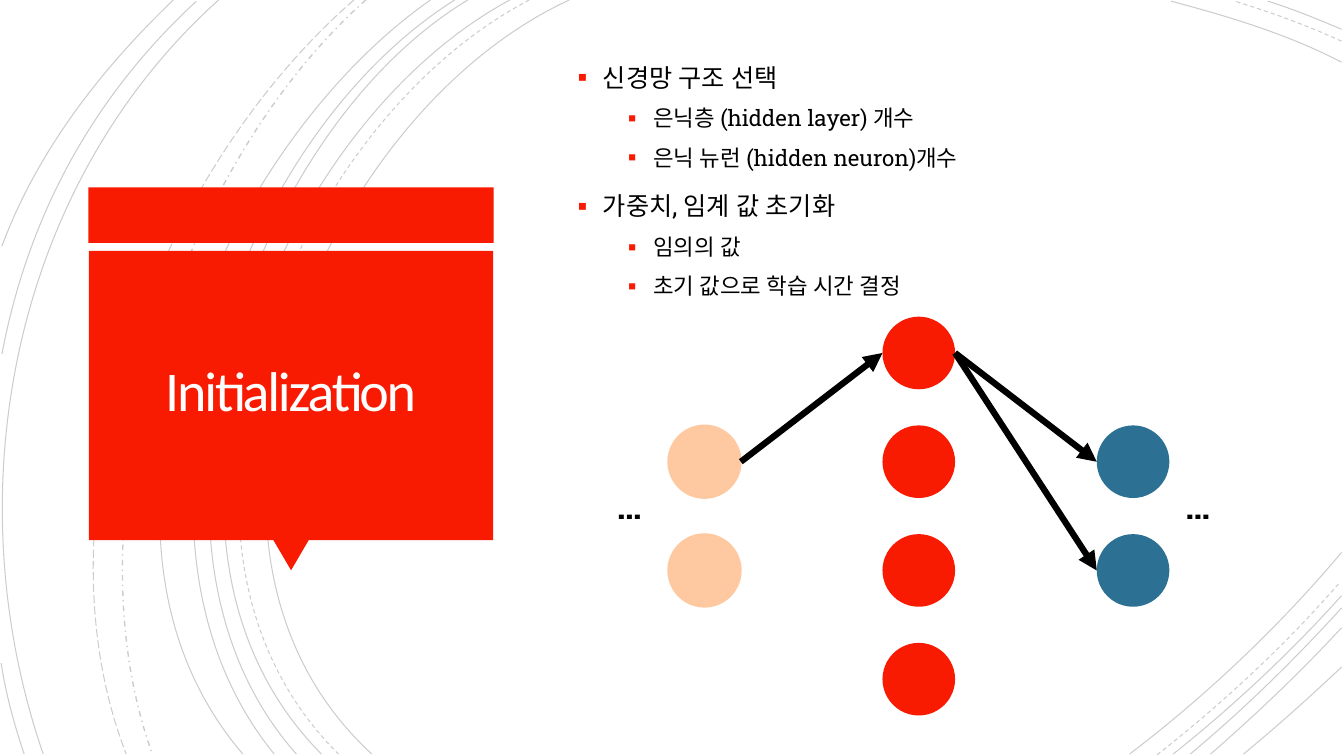
import pptx
import pptx.util
import pptx.dml.color
import pptx.enum.dml
import pptx.enum.shapes
import pptx.enum.text
import pptx.oxml
import pptx.oxml.ns
from lxml import etree

Cm = pptx.util.Cm
Pt = pptx.util.Pt
SHAPE = pptx.enum.shapes.MSO_SHAPE
DASH = pptx.enum.dml.MSO_LINE
ANCHOR = pptx.enum.text.MSO_ANCHOR
AUTO = pptx.enum.text.MSO_AUTO_SIZE
qn = pptx.oxml.ns.qn

COLORS = {"red": "F81B02", "blue": "2C7093", "peach": "FEC9A1",
          "black": "000000", "white": "FFFEFF"}
SLAB = "Roboto Slab"

ARCS = {
    (DASH.SOLID, 0.75): [
        [(14.35, 0), (8, 2.92), (3.63, 13.72), (9.37, 19)],
        [(33.81, 1.57), (32.46, 0.86), (30.94, 0.41), (29.51, 0.03)],
        [(28.47, 19), (30.4, 17.53), (32.23, 15.8), (33.81, 13.92)],
        [(12.85, 0), (6.86, 3.23), (2.79, 13.64), (8.1, 19)],
        [(33.81, 0.74), (33.2, 0.48), (32.59, 0.23), (31.95, 0.03)],
        [(29.57, 19), (31.06, 17.81), (32.51, 16.46), (33.81, 15.01)],
        [(11.79, 0), (6.2, 3.38), (2.79, 13.74), (7.47, 19)],
        [(30, 19), (31.34, 17.88), (32.61, 16.64), (33.81, 15.32)],
        [(11.46, 0), (5.87, 3.51), (2.46, 13.54), (6.91, 19)],
        [(30.51, 19), (31.65, 18.01), (32.77, 16.94), (33.81, 15.82)],
        [(10.85, 0), (5.51, 3.73), (1.35, 13.44), (6.12, 19)],
        [(31.34, 19), (32.18, 18.31), (32.99, 17.58), (33.81, 16.81)],
        [(5.51, 0), (0.28, 4.7), (-1.17, 12.45), (1.09, 19)],
        [(4.95, 0.03), (2.34, 2.44), (0.71, 5.44), (0.05, 8.92)],
        [(0.03, 16.71), (0.15, 17.5), (0.36, 18.26), (0.61, 19)],
        [(4.37, 0), (2.54, 1.75), (0.94, 3.81), (0.05, 6.2)],
    ],
    (DASH.DASH, 0.75): [
        [(13.34, 0), (7.24, 3.18), (3.12, 13.64), (8.53, 19)],
        [(33.81, 1.04), (32.94, 0.64), (32, 0.3), (31.12, 0.03)],
        [(29.16, 19.02), (30.81, 17.73), (32.39, 16.26), (33.78, 14.66)],
    ],
    (DASH.DASH_DOT, 1): [[(9.22, 0), (4.47, 4.22), (1.65, 12.93), (3.84, 19)]],
    (DASH.LONG_DASH, 0.75): [[(8.92, 0), (3.99, 4.29), (0.74, 12.67), (3.18, 19)]],
}

BULLETS = [
    (0, "신경망 구조 선택"),
    (1, "은닉층 (hidden layer) 개수"),
    (1, "은닉 뉴런 (hidden neuron)개수"),
    (0, "가중치, 임계 값 초기화"),
    (1, "임의의 값"),
    (1, "초기 값으로 학습 시간 결정"),
]

DIAMETER = 1.83
ROW_TOP, ROW_STEP = 7.98, 2.74
LAYERS = {
    "output": (27.64, [1, 2], "blue"),
    "hidden": (22.24, [0, 1, 2, 3], "red"),
    "input": (16.84, [1, 2], "peach"),
}


def rgb(name):
    return pptx.dml.color.RGBColor.from_string(COLORS[name])


def style_run(r, name, size, color, bold=False):
    r.font.name = name
    r.font.size = Pt(size)
    r.font.bold = bold
    r.font.color.rgb = rgb(color)
    etree.SubElement(r._r.get_or_add_rPr(), qn("a:ea")).set("typeface", name)


def place(sp, left, top, width, height):
    sp.left, sp.top, sp.width, sp.height = Cm(left), Cm(top), Cm(width), Cm(height)


def add_arc(s, points, dash, width):
    start, *rest = [(Cm(x), Cm(y)) for x, y in points]
    builder = s.shapes.build_freeform(*start)
    builder.add_line_segments(rest, close=False)
    sp = builder.convert_to_shape()
    segments = list(sp._element.iter(qn("a:lnTo")))
    curve = etree.SubElement(segments[0].getparent(), qn("a:cubicBezTo"))
    for segment in segments:
        curve.append(segment[0])
        segment.getparent().remove(segment)
    sp.shadow.inherit = False
    sp.fill.background()
    sp.line.width = Pt(width)
    sp.line.color.rgb = rgb("black")
    sp.line.dash_style = dash
    clr = sp.line._ln.find(".//" + qn("a:srgbClr"))
    etree.SubElement(clr, qn("a:alpha")).set("val", "20000")


def add_filled(s, kind, left, top, width, height, color):
    sp = s.shapes.add_shape(kind, Cm(left), Cm(top), Cm(width), Cm(height))
    sp.shadow.inherit = False
    sp.fill.solid()
    sp.fill.fore_color.rgb = rgb(color)
    sp.line.fill.background()
    return sp


def add_neuron(s, left, row, color):
    sp = add_filled(s, SHAPE.OVAL, left, ROW_TOP + row * ROW_STEP,
                    DIAMETER, DIAMETER, color)
    if color == "peach":
        sp.line.color.rgb = rgb(color)
        sp.line.width = Pt(1.25)
    return sp


def add_arrow(s, source, target):
    line = s.shapes.add_connector(
        pptx.enum.shapes.MSO_CONNECTOR.STRAIGHT,
        source.left + source.width, source.top + source.height // 2,
        target.left, target.top + target.height // 2)
    line.line.width = Pt(4.5)
    line.line.color.rgb = rgb("black")
    etree.SubElement(line.line._ln, qn("a:tailEnd")).set("type", "triangle")
    etree.SubElement(line._element.spPr, qn("a:effectLst"))


def add_ellipsis(s, left):
    tf = s.shapes.add_textbox(Cm(left), Cm(12.09), Cm(1.14), Cm(1.32)).text_frame
    tf.word_wrap = False
    tf.auto_size = AUTO.SHAPE_TO_FIT_TEXT
    tf.text = "…"
    style_run(tf.paragraphs[0].runs[0], SLAB, 25, "black", True)


def add_bullet(p, level):
    pPr = p._p.get_or_add_pPr()
    pPr.set("marL", str(Cm(1.91 if level else 0.64)))
    pPr.set("indent", str(-Cm(0.64)))
    clr = etree.SubElement(pPr, qn("a:buClr"))
    etree.SubElement(clr, qn("a:srgbClr")).set("val", COLORS["red"])
    etree.SubElement(pPr, qn("a:buSzPct")).set("val", "110000")
    etree.SubElement(pPr, qn("a:buChar")).set("char", "▪")


def fill_title(sp):
    place(sp, 2.46, 6.53, 9.73, 6.83)
    tf = sp.text_frame
    tf.text = "Initialization"
    tf.word_wrap = True
    tf.auto_size = AUTO.NONE
    tf.vertical_anchor = ANCHOR.MIDDLE
    tf.margin_left = tf.margin_right = tf.margin_top = tf.margin_bottom = Cm(0.64)
    p = tf.paragraphs[0]
    p.alignment = pptx.enum.text.PP_ALIGN.CENTER
    p.line_spacing = 0.85
    r = p.runs[0]
    style_run(r, "Calibri", 40, "white")
    r._r.get_or_add_rPr().set("spc", "-150")


def fill_body(sp):
    place(sp, 14.3, 0.6, 17.45, 7.75)
    tf = sp.text_frame
    tf.text = "\n".join(text for _, text in BULLETS)
    tf.word_wrap = True
    tf.auto_size = AUTO.NONE
    tf.vertical_anchor = ANCHOR.MIDDLE
    for i, (p, (level, _)) in enumerate(zip(tf.paragraphs, BULLETS)):
        p.level = level
        add_bullet(p, level)
        p.line_spacing = 1.2
        p.space_before = Pt(0 if i == 0 else 5 if level else 10)
        style_run(p.runs[0], SLAB, 16 if level else 18, "black")


def main():
    prs = pptx.Presentation()
    prs.slide_width, prs.slide_height = Cm(33.87), Cm(19.05)
    s = prs.slides.add_slide(prs.slide_layouts[1])
    title, body = s.placeholders[0], s.placeholders[1]

    for (dash, width), arcs in ARCS.items():
        for points in arcs:
            add_arc(s, points, dash, width)

    add_filled(s, SHAPE.RECTANGLE, 2.23, 4.72, 10.21, 1.4, "red")
    pointer = add_filled(s, SHAPE.ISOSCELES_TRIANGLE, 6.89, 13.61, 0.89, 0.76, "red")
    pointer.rotation = 180
    add_filled(s, SHAPE.RECTANGLE, 2.24, 6.32, 10.19, 7.29, "red")

    fill_title(title)
    fill_body(body)
    for sp in (title, body):
        s.shapes._spTree.append(sp._element)

    neurons = {name: [add_neuron(s, left, row, color) for row in rows]
               for name, (left, rows, color) in LAYERS.items()}
    first_hidden = neurons["hidden"][0]
    for target in neurons["output"]:
        add_arrow(s, first_hidden, target)
    add_arrow(s, neurons["input"][0], first_hidden)
    for left in (29.62, 15.29):
        add_ellipsis(s, left)

    prs.save("out.pptx")


if __name__ == "__main__":
    main()
